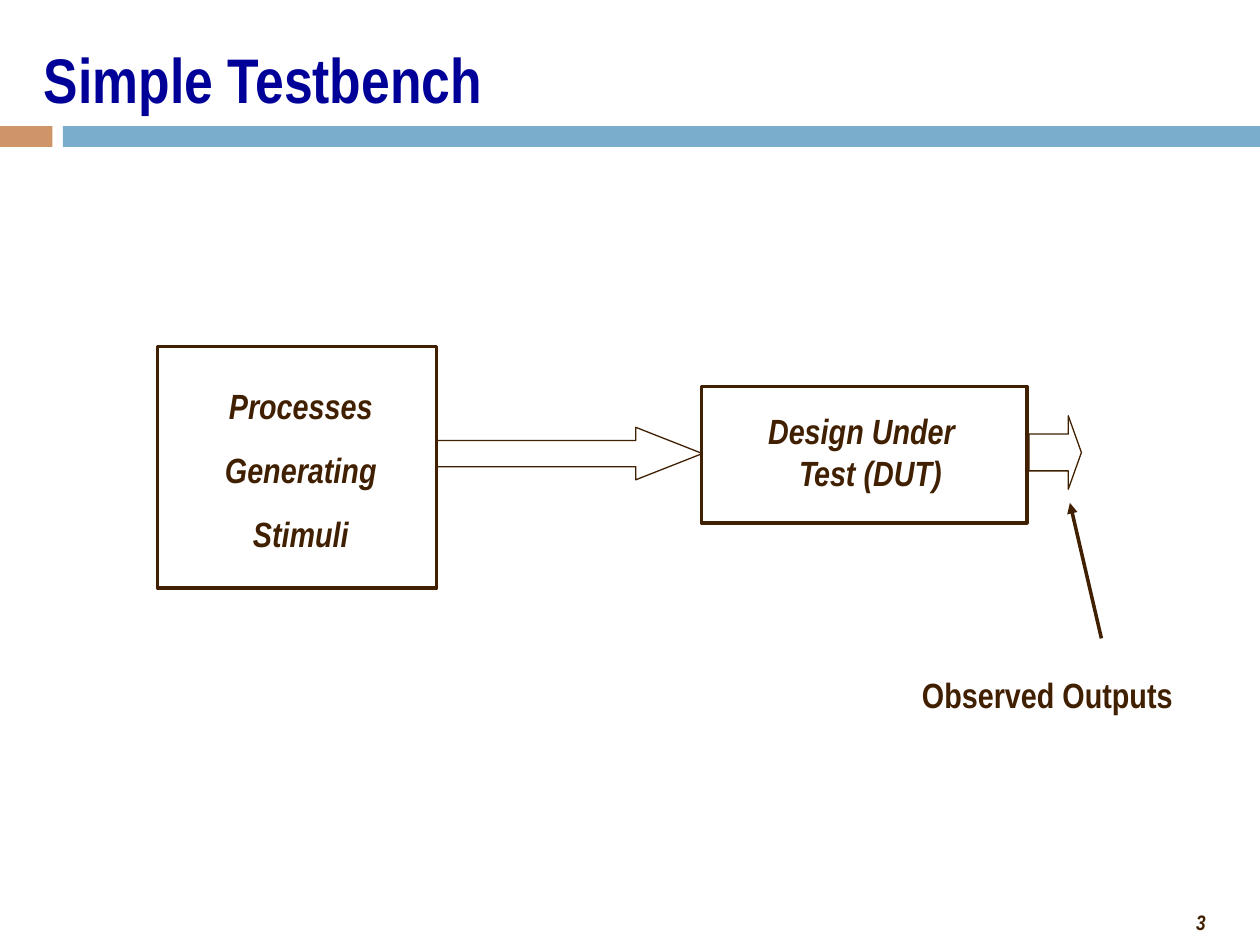
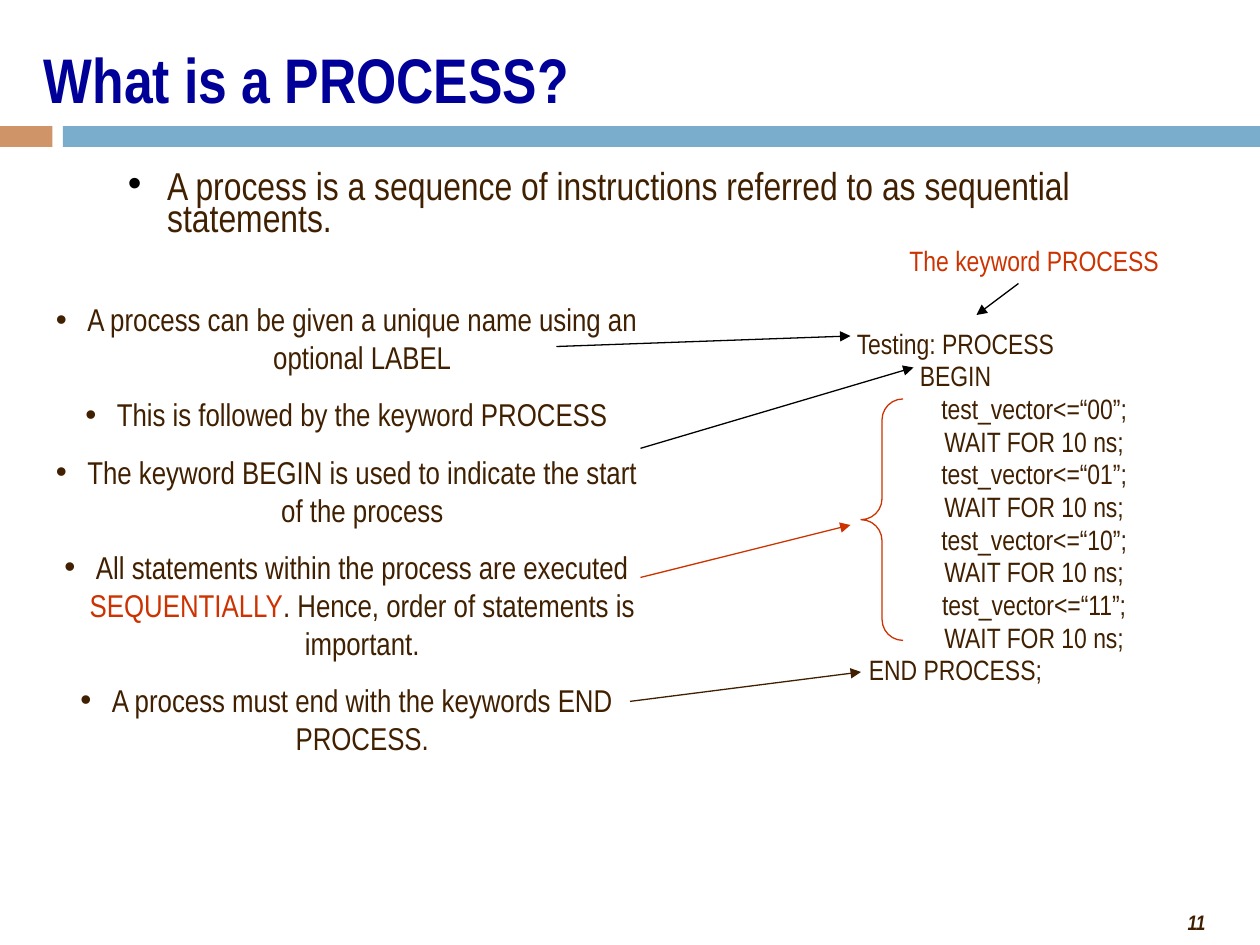
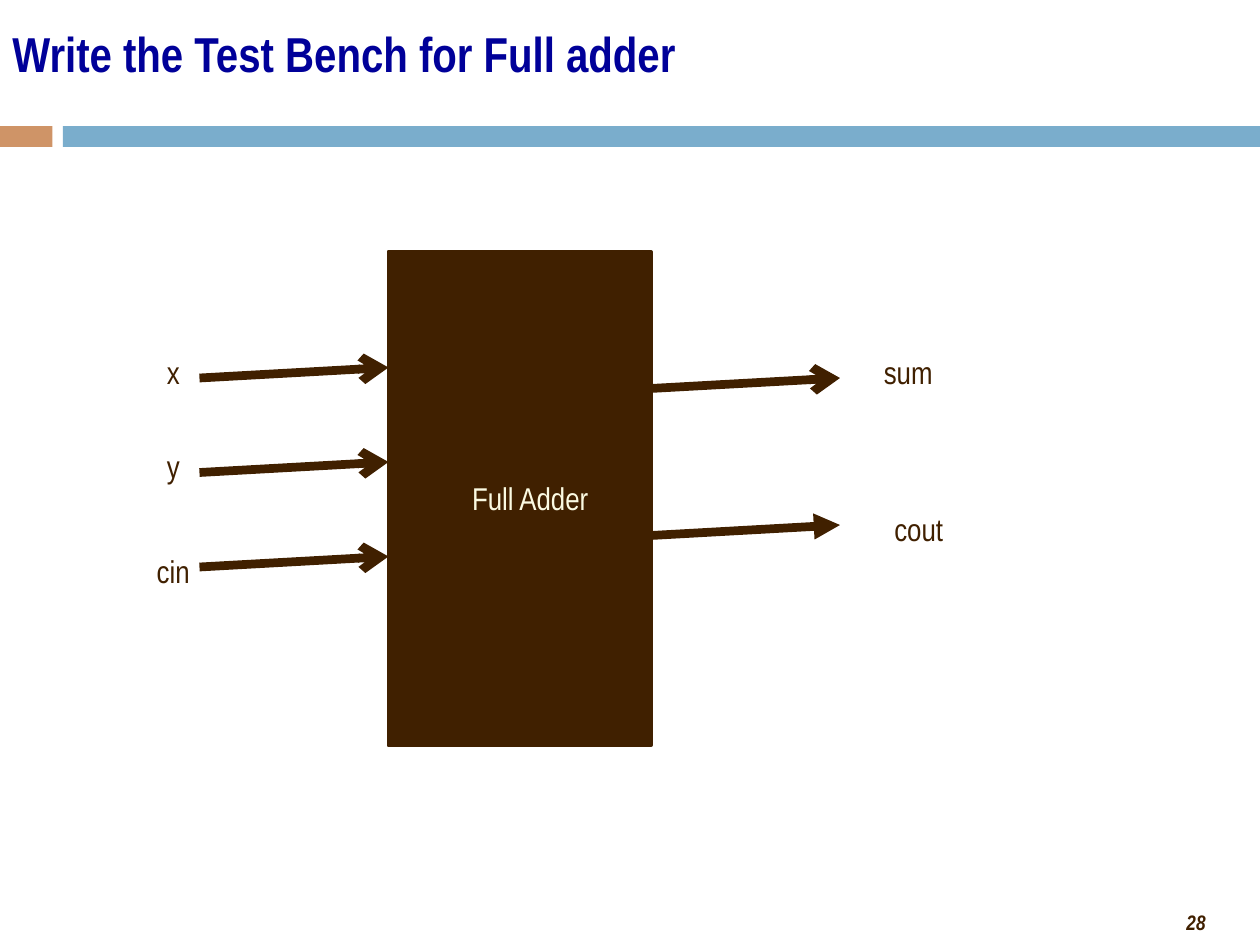
"""Build three slides about VHDL test benches."""
from dataclasses import dataclass

from lxml.etree import SubElement
from pptx import Presentation
from pptx.dml.color import RGBColor as Color
from pptx.enum.shapes import MSO_CONNECTOR as Connector, MSO_SHAPE as Preset
from pptx.enum.text import MSO_ANCHOR as Anchor, PP_ALIGN as Align
from pptx.oxml.ns import qn
from pptx.util import Inches, Pt


@dataclass(frozen=True)
class Theme:
    font: str = "Arial Narrow"
    ink: Color = Color(0x40, 0x20, 0x00)
    title: Color = Color(0x00, 0x00, 0x99)
    accent: Color = Color(0xCC, 0x33, 0x00)
    black: Color = Color(0x00, 0x00, 0x00)
    cream: Color = Color(0xFB, 0xFA, 0xE2)
    orange_band: Color = Color(0xCF, 0x94, 0x67)
    blue_band: Color = Color(0x7A, 0xAD, 0xCC)
    title_size: float = 36
    small_title_size: float = 28
    body_size: float = 22.2
    diagram_size: float = 20
    list_size: float = 18
    code_size: float = 16
    number_size: float = 12


theme = Theme()
presentation = Presentation()
presentation.slide_width = Inches(10)
presentation.slide_height = Inches(7.5)
COLUMNS = 120
cell = presentation.slide_width // COLUMNS


def add_text(slide, place, paragraphs, size, color=theme.ink, bold=False, italic=False,
             align=Align.CENTER, anchor=Anchor.TOP, margin=0, indent=0, before=0,
             spacing=None, bullet=None):
    """Add a text box on the grid; a bar in a paragraph starts a new run."""
    shape = slide.shapes.add_textbox(*(round(length * cell) for length in place))
    frame = shape.text_frame
    frame.word_wrap = True
    frame.vertical_anchor = anchor
    for index, text in enumerate(paragraphs):
        paragraph = frame.paragraphs[0] if index == 0 else frame.add_paragraph()
        paragraph.alignment = align
        if index:
            paragraph.space_before = Pt(before)
        if spacing:
            paragraph.line_spacing = spacing
        properties = paragraph._p.get_or_add_pPr()
        properties.set("marL", str(round(margin * cell)))
        properties.set("indent", str(round(indent * cell)))
        if bullet is not None:
            bullet_color = SubElement(properties, qn("a:buClr"))
            SubElement(bullet_color, qn("a:srgbClr")).set("val", str(bullet))
            SubElement(properties, qn("a:buFont")).set("typeface", "Arial")
            SubElement(properties, qn("a:buChar")).set("char", "•")
        for part in text.split("|"):
            run = paragraph.add_run()
            run.text = part
            run.font.name = theme.font
            run.font.size = Pt(size)
            run.font.bold = bold
            run.font.italic = italic
            run.font.color.rgb = color
    return shape


def add_arrow(slide, ends, color=theme.ink, width=0.75, head="triangle"):
    """Add a straight arrow between two grid points."""
    arrow = slide.shapes.add_connector(
        Connector.STRAIGHT, *(round(length * cell) for length in ends))
    arrow.line.color.rgb = color
    arrow.line.width = Pt(width)
    SubElement(arrow.line._get_or_add_ln(), qn("a:tailEnd")).set("type", head)
    SubElement(arrow._element.spPr, qn("a:effectLst"))


title_place = (3, 0, 110, 15)
headings = [
    ("Simple Testbench", title_place, theme.title_size, 3),
    ("What is a PROCESS?", title_place, theme.title_size, 11),
    ("Write the Test Bench for Full adder", (0, 0, 123, 10), theme.small_title_size, 28),
]
bands = [(0, 5, theme.orange_band), (6, COLUMNS - 6, theme.blue_band)]
slides = []
for title, place, size, number in headings:
    slide = presentation.slides.add_slide(presentation.slide_layouts[6])
    for left, width, color in bands:
        band = slide.shapes.add_shape(
            Preset.RECTANGLE, left * cell, 12 * cell, width * cell, 2 * cell)
        band.shadow.inherit = False
        band.fill.solid()
        band.fill.fore_color.rgb = color
        band.line.fill.background()
    add_text(slide, place, [title], size, theme.title, bold=True,
             align=Align.LEFT, anchor=Anchor.MIDDLE)
    add_text(slide, (90, 86, 26, 3.6), [str(number)], theme.number_size,
             bold=True, italic=True, align=Align.RIGHT)
    slides.append(slide)
testbench, process, adder = slides

outlines = [
    (testbench, Preset.RECTANGLE, (15, 33, 26.6, 23), (), 2, theme.ink),
    (testbench, Preset.RECTANGLE, (66.8, 36.8, 31, 13), (), 2, theme.ink),
    (testbench, Preset.RIGHT_ARROW, (98, 39.6, 5, 7), (0.5, 0.25), 0.75, theme.ink),
    (testbench, Preset.RIGHT_ARROW, (41.6, 40.7, 25.3, 5), (0.5, 1.27), 0.75, theme.ink),
    (process, Preset.LEFT_BRACE, (82, 38, 4, 23), (0.5, 0.5), 0.75, theme.accent),
    (adder, Preset.RECTANGLE, (37, 24, 25, 47), (), 2.25, theme.ink),
]
for slide, preset, place, adjustments, width, color in outlines:
    outline = slide.shapes.add_shape(preset, *(round(length * cell) for length in place))
    outline.shadow.inherit = False
    for index, value in enumerate(adjustments):
        outline.adjustments[index] = value
    outline.fill.background()
    outline.line.color.rgb = color
    outline.line.width = Pt(width)
    if slide is adder:
        outline.fill.solid()
        outline.fill.fore_color.rgb = color

add_text(testbench, (16, 36, 25.3, 17.4), ["Processes", "Generating", "Stimuli"],
         theme.diagram_size, bold=True, italic=True, margin=3, indent=-3, before=12.5)
add_text(testbench, (67.6, 38.4, 27.6, 9.2), ["Design Under Test (DUT)"],
         theme.diagram_size, bold=True, italic=True, margin=3, indent=-1.7)
add_text(testbench, (83.6, 63.6, 32.3, 5.3), ["Observed Outputs"],
         theme.diagram_size, bold=True)
add_arrow(testbench, (104.9, 60.8, 101.9, 47.9), width=2)

add_text(process, (5, 16, 109, 8),
         ["A process is a sequence of instructions referred to as sequential statements."],
         theme.body_size, align=Align.LEFT, margin=9.75, indent=-3.75,
         spacing=0.7, bullet=theme.black)
facts = [
    "A process can be given a unique name using an optional LABEL",
    "This is followed by the keyword PROCESS",
    "The keyword BEGIN is used to indicate the start of the process",
    "All statements within the process are executed |SEQUENTIALLY|"
    ". Hence, order of statements is important.",
    "A process must end with the keywords END PROCESS.",
]
fact_list = add_text(process, (-8, 28, 70, 44.8), facts, theme.list_size,
                     margin=15, indent=-3, before=11.2, bullet=theme.ink)
fact_list.text_frame.paragraphs[3].runs[1].font.color.rgb = theme.accent

code = ["Testing: PROCESS", "BEGIN"]
for vector in ("00", "01", "10", "11"):
    code += [f"test_vector<=“{vector}”;", "WAIT FOR 10 ns;"]
code.append("END PROCESS;")
listing = add_text(process, (55, 32, 60, 41.8), code, theme.code_size,
                   margin=15, indent=-3, before=10, spacing=0.45)
for paragraph in listing.text_frame.paragraphs[2:-1]:
    paragraph._p.pPr.set("marL", str(30 * cell))
add_text(process, (69, 22.6, 47, 4.4), ["The keyword PROCESS"], theme.code_size,
         theme.accent, margin=15, indent=-3)
pointers = [
    ((53, 33, 81, 32), theme.black),
    ((97, 27, 93, 30), theme.black),
    ((61, 42.7, 87, 35), theme.black),
    ((61, 55, 81, 50), theme.accent),
    ((60, 66.8, 82, 64), theme.ink),
]
for ends, color in pointers:
    add_arrow(process, ends, color)

for row in (36, 45, 54):
    add_arrow(adder, (19, row, 37, row - 1), width=5, head="arrow")
for row, head in ((37, "arrow"), (51, "triangle")):
    add_arrow(adder, (62, row, 80, row - 1), width=5, head=head)
ports = [("x", 10, 33), ("y", 10, 42), ("cin", 10, 52), ("sum", 80, 33), ("cout", 81, 48)]
for name, left, top in ports:
    add_text(adder, (left, top, 13, 4.8), [name], theme.list_size)
add_text(adder, (41, 45, 19, 4.8), ["Full Adder"], theme.list_size, theme.cream)

presentation.save("out.pptx")
